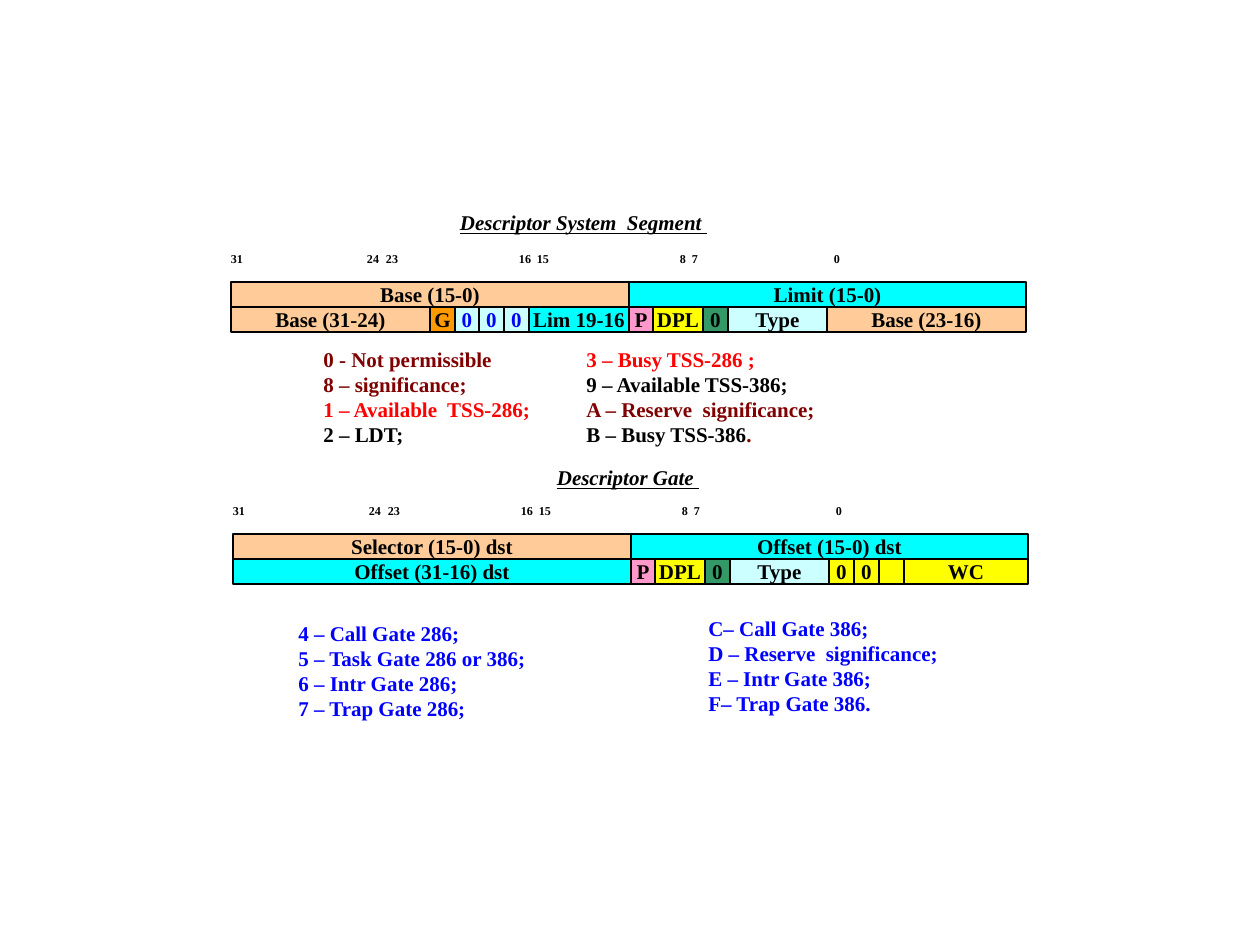
import dataclasses

import lxml.etree
import pptx
import pptx.dml.color
import pptx.enum.shapes
import pptx.enum.text
import pptx.oxml.ns
import pptx.util

EMU_PER_PX = 914400 // 126
ROW_H = 25
ROW_W = 795
BITS = 32
RULER = [("24", 136), ("23", 155), ("16", 288), ("15", 306),
         ("8", 449), ("7", 461), ("0", 603)]


@dataclasses.dataclass(frozen=True)
class Theme:
    font: str = "Times New Roman"
    size: int = 12
    border: float = 1.5
    white: str = "FFFFFF"
    black: str = "000000"
    blue: str = "0000FF"
    red: str = "FF0000"
    maroon: str = "800000"
    peach: str = "FFCC99"
    cyan: str = "00FFFF"
    pale: str = "CCFFFF"
    yellow: str = "FFFF00"
    orange: str = "FF9900"
    pink: str = "FF99CC"
    green: str = "339966"


def px(n):
    return pptx.util.Emu(n * EMU_PER_PX)


def rgb(value):
    return pptx.dml.color.RGBColor.from_string(value)


class Deck:
    def __init__(self, theme, slide):
        self.theme = theme
        self.slide = slide

    def box(self, x, y, w, h, fill, margin_x=0, margin_y=0):
        sp = self.slide.shapes.add_shape(
            pptx.enum.shapes.MSO_SHAPE.RECTANGLE, px(x), px(y), px(w), px(h))
        sp.shadow.inherit = False
        sp.fill.solid()
        sp.fill.fore_color.rgb = rgb(fill)
        sp.line.fill.background()
        tf = sp.text_frame
        tf.word_wrap = True
        tf.vertical_anchor = pptx.enum.text.MSO_ANCHOR.TOP
        tf.margin_left = tf.margin_right = pptx.util.Inches(margin_x)
        tf.margin_top = tf.margin_bottom = pptx.util.Inches(margin_y)
        return sp

    def style(self, p, color=None, centered=False):
        align = pptx.enum.text.PP_ALIGN
        p.alignment = align.CENTER if centered else align.LEFT
        p.font.name = self.theme.font
        p.font.size = pptx.util.Pt(self.theme.size)
        p.font.bold = True
        p.font.color.rgb = rgb(color or self.theme.black)

    def tabs(self, p, stops):
        tab_list = lxml.etree.Element(pptx.oxml.ns.qn("a:tabLst"))
        for stop in stops:
            lxml.etree.SubElement(tab_list, pptx.oxml.ns.qn("a:tab"),
                                  pos=str(px(stop)), algn="l")
        p._p.get_or_add_pPr().insert(0, tab_list)

    def heading(self, x, y, w, text):
        p = self.box(x, y, w, ROW_H, self.theme.white).text_frame.paragraphs[0]
        p.text = text
        self.style(p)
        p.font.italic = p.font.underline = True

    def ruler(self, x, y):
        p = self.box(x, y, ROW_W, ROW_H, self.theme.white).text_frame.paragraphs[0]
        self.tabs(p, [stop for _, stop in RULER])
        self.style(p)
        r = p.add_run()
        r.text = "\t".join(["31"] + [label for label, _ in RULER])
        r._r.get_or_add_rPr().set("baseline", "30000")

    def cell(self, x, y, w, text, fill, color=None):
        sp = self.box(x, y, w, ROW_H, fill)
        sp.line.color.rgb = rgb(self.theme.black)
        sp.line.width = pptx.util.Pt(self.theme.border)
        p = sp.text_frame.paragraphs[0]
        p.text = text
        self.style(p, color, centered=True)

    def descriptor(self, x, y, rows):
        self.ruler(x, y - 33)
        for i, fields in enumerate(rows):
            bit = 0
            for bits, *field in fields:
                left = round(bit * ROW_W / BITS)
                bit += bits
                right = round(bit * ROW_W / BITS)
                self.cell(x + left, y + i * ROW_H, right - left, *field)

    def listing(self, x, y, w, h, lines, stops=()):
        tf = self.box(x, y, w, h, self.theme.white, 0.1, 0.05).text_frame
        for i, runs in enumerate(lines):
            p = tf.add_paragraph() if i else tf.paragraphs[0]
            if stops:
                self.tabs(p, stops)
            self.style(p, runs[0][1])
            for text, color in runs:
                r = p.add_run()
                r.text = text
                if color != runs[0][1]:
                    r.font.color.rgb = rgb(color)


def main():
    prs = pptx.Presentation()
    prs.slide_width = pptx.util.Inches(10)
    prs.slide_height = pptx.util.Inches(7.5)
    t = Theme()
    deck = Deck(t, prs.slides.add_slide(prs.slide_layouts[6]))

    access = [(1, "P", t.pink), (2, "DPL", t.yellow),
              (1, "0", t.green), (4, "Type", t.pale)]

    deck.heading(460, 210, 257, "Descriptor System  Segment ")
    deck.descriptor(231, 282, [
        [(16, "Base (15-0)", t.peach), (16, "Limit (15-0)", t.cyan)],
        [(8, "Base (31-24)", t.peach), (1, "G", t.orange),
         *[(1, "0", t.pale, t.blue)] * 3, (4, "Lim 19-16", t.cyan),
         *access, (8, "Base (23-16)", t.peach)],
    ])
    deck.listing(311, 340, 621, 120, [
        [("0 - Not permissible\t", t.maroon), ("3 – Busy TSS-286 ;", t.red)],
        [("8 – significance;\t", t.maroon), ("9 – Available TSS-386;", t.black)],
        [("1 – Available  TSS-286;\t", t.red),
         ("A – Reserve  significance;", t.maroon)],
        [("2 – LDT;\tB – Busy TSS-386", t.black), (".", t.maroon)],
    ], stops=[263])

    deck.heading(557, 465, 149, "Descriptor Gate ")
    deck.descriptor(233, 534, [
        [(16, "Selector (15-0) dst", t.peach), (16, "Offset (15-0) dst", t.cyan)],
        [(16, "Offset (31-16) dst", t.cyan), *access,
         *[(1, "0", t.yellow)] * 2, (1, "", t.yellow), (5, "WC", t.yellow)],
    ])
    gates = [
        (286, 614, 120, ["4 – Call Gate 286;", "5 – Task Gate 286 or 386;",
                         "6 – Intr Gate 286;", "7 – Trap Gate 286;"]),
        (696, 609, 145, ["C– Call Gate 386;", "D – Reserve  significance;",
                         "E – Intr Gate 386;", "F– Trap Gate 386."]),
    ]
    for x, y, h, lines in gates:
        deck.listing(x, y, 314, h, [[(line, t.blue)] for line in lines])

    prs.save("out.pptx")


if __name__ == "__main__":
    main()
